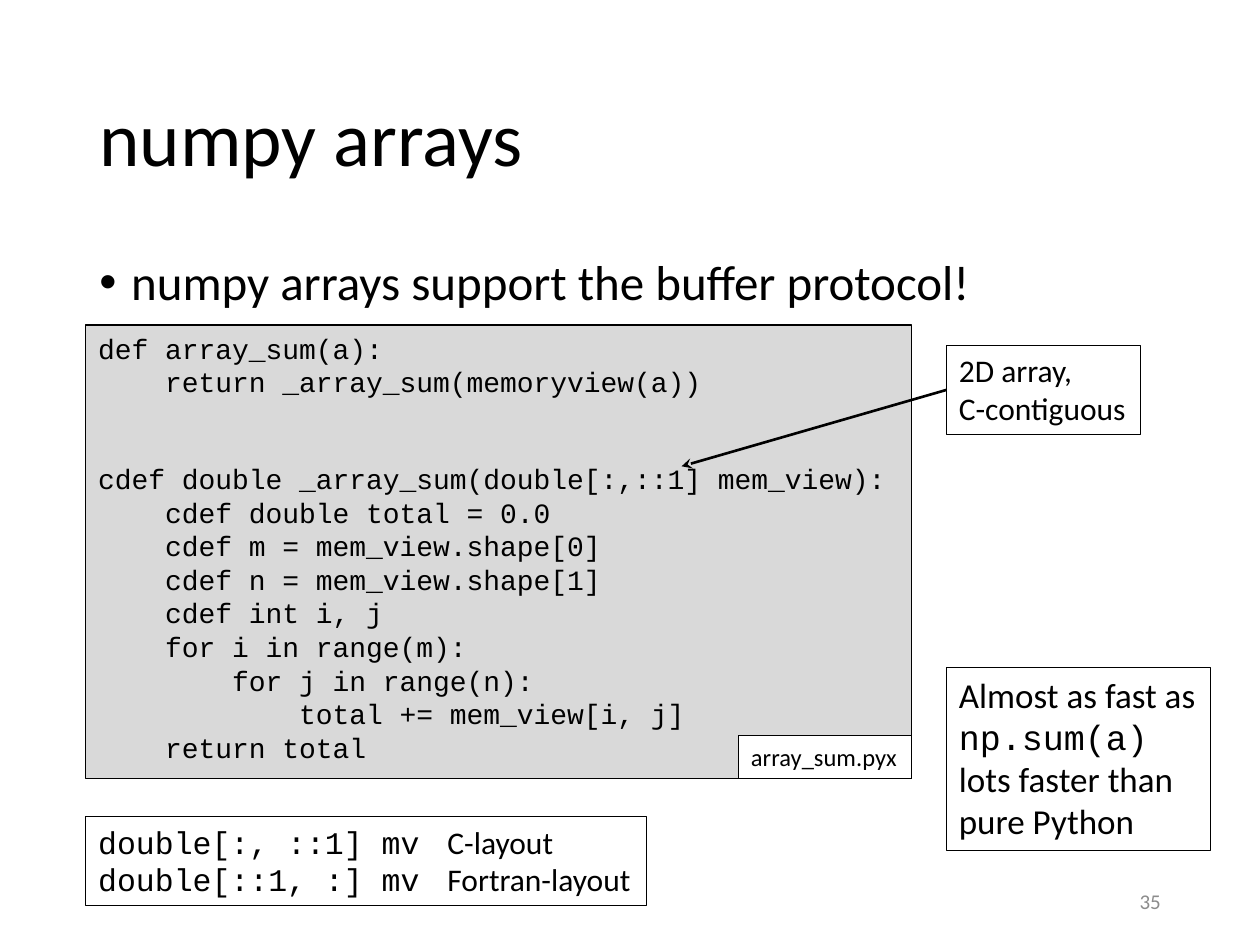
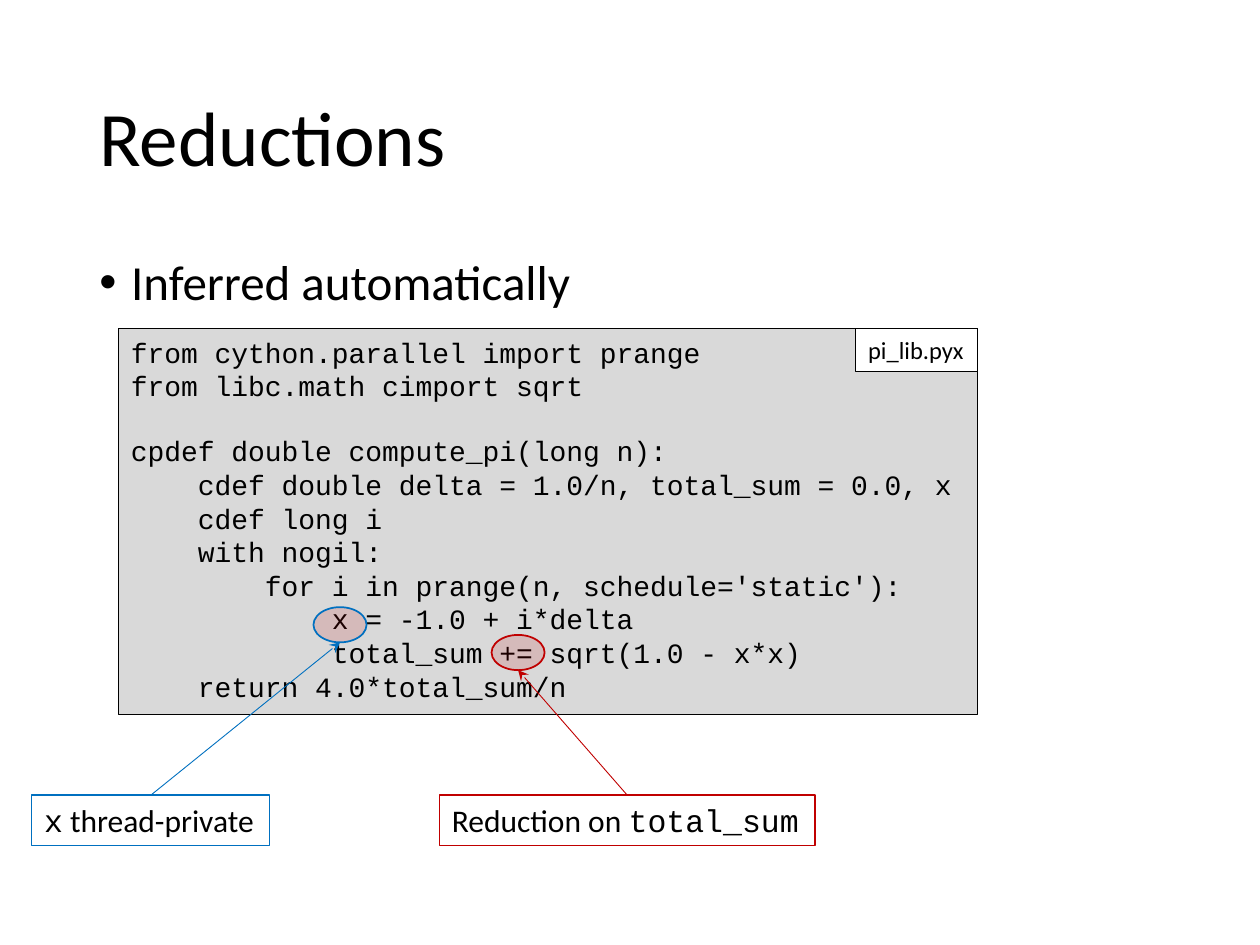
from lxml.etree import SubElement
from pptx import Presentation
from pptx.dml.color import RGBColor
from pptx.enum.shapes import MSO_CONNECTOR, MSO_SHAPE
from pptx.enum.text import MSO_ANCHOR, MSO_AUTO_SIZE, PP_ALIGN
from pptx.oxml.ns import qn
from pptx.util import Cm, Pt

HUES = {
    "ink": "000000",
    "paper": "FFFFFF",
    "code": "D9D9D9",
    "page": "8C8C8C",
    "red": "C00000",
    "blue": "0070C0",
}
SANS, MONO = "Calibri", "Courier New"
TITLE = (1.75, 1.02, 21.9, 3.68)
BODY = (1.75, 5.08, 21.9, 12.09)
PAGE = (17.93, 17.65, 5.72, 1.02)
TAG_H = 0.86
OVAL = (1.07, 0.71)
ROW = 18.13

SUM_CODE = """def array_sum(a):
    return _array_sum(memoryview(a))


cdef double _array_sum(double[:,::1] mem_view):
    cdef double total = 0.0
    cdef m = mem_view.shape[0]
    cdef n = mem_view.shape[1]
    cdef int i, j
    for i in range(m):
        for j in range(n):
            total += mem_view[i, j]
    return total"""

PI_CODE = """from cython.parallel import prange
from libc.math cimport sqrt

cpdef double compute_pi(long n):
    cdef double delta = 1.0/n, total_sum = 0.0, x
    cdef long i
    with nogil:
        for i in prange(n, schedule='static'):
            x = -1.0 + i*delta
            total_sum += sqrt(1.0 - x*x)
    return 4.0*total_sum/n"""

ARRAYS = {
    "title": "numpy arrays",
    "point": "numpy arrays support the buffer protocol!",
    "code": (SUM_CODE, (1.73, 6.55, 16.64, 9.14)),
    "file": ("array_sum.pyx", 3.48, "bottom"),
}
SPEED = ("Almost as fast as\n`np.sum(a)`\nlots faster than\npure Python", (19.08, 13.46, 5.33, 3.68))
SHAPE = ("2D array,\nC-contiguous", (19.08, 6.96, 3.91, 1.8))
LAYOUT = ("`double[:, ::1] mv`\tC-layout\n`double[::1, :] mv`\tFortran-layout", (1.73, 16.46, 11.3, 1.8))
LAYOUT_TAB = 7.04
TYPE_SPOT = (13.74, 9.4)

REDUCE = {
    "title": "Reductions",
    "point": "Inferred automatically",
    "code": (PI_CODE, (2.39, 6.63, 17.32, 7.77)),
    "file": ("pi_lib.pyx", 2.46, "top"),
}
MARKS = [
    ("Reduction on `total_sum`", "red", (8.86, 16.03, 7.57, 1.02), (9.91, 12.8)),
    ("`x` thread-private", "blue", (0.64, 16.03, 4.8, 1.02), (6.32, 12.24)),
]


def rgb(name):
    return RGBColor.from_string(HUES[name])


def cms(vals):
    return [Cm(v) for v in vals]


def style(run, size, font=SANS, hue="ink"):
    run.font.size = Pt(size)
    run.font.name = font
    run.font.color.rgb = rgb(hue)


def place(item, at):
    item.left, item.top, item.width, item.height = cms(at)


def draw(slide, kind, at, fill, line, width):
    form = slide.shapes.add_shape(kind, *cms(at))
    form.shadow.inherit = False
    if fill:
        form.fill.solid()
        form.fill.fore_color.rgb = rgb(fill)
    else:
        form.fill.background()
    form.line.color.rgb = rgb(line)
    form.line.width = Pt(width)
    return form


def box(slide, text, at, size=18, fill="paper", line="ink", code=False, tab=None):
    frame = draw(slide, MSO_SHAPE.RECTANGLE, at, fill, line, 0.75).text_frame
    frame.word_wrap = tab is not None
    frame.auto_size = MSO_AUTO_SIZE.SHAPE_TO_FIT_TEXT
    frame.vertical_anchor = MSO_ANCHOR.TOP
    para, gap = None, 0
    for row in text.split("\n"):
        if not row:
            gap += ROW
            continue
        para = frame.add_paragraph() if para else frame.paragraphs[0]
        para.alignment = PP_ALIGN.LEFT
        if gap:
            para.space_before = Pt(gap)
            gap = 0
        if tab:
            stops = SubElement(para._p.get_or_add_pPr(), qn("a:tabLst"))
            SubElement(stops, qn("a:tab"), pos=str(Cm(tab)), algn="l")
        for num, part in enumerate(row.split("`")):
            if part:
                run = para.add_run()
                run.text = part
                style(run, size, MONO if code or num % 2 else SANS)


def arrow(slide, start, end, hue, width):
    line = slide.shapes.add_connector(MSO_CONNECTOR.STRAIGHT, *cms(start + end))
    line.line.color.rgb = rgb(hue)
    line.line.width = Pt(width)
    SubElement(line.line._get_or_add_ln(), qn("a:tailEnd"), type="stealth")
    SubElement(line._element.spPr, qn("a:effectLst"))


def ring(slide, spot, hue):
    form = draw(slide, MSO_SHAPE.OVAL, spot + OVAL, "red", hue, 1)
    tint = form._element.spPr.find(qn("a:solidFill")).find(qn("a:srgbClr"))
    SubElement(tint, qn("a:alpha"), val="14000")


def start(deck, data):
    slide = deck.slides.add_slide(deck.slide_layouts[1])
    title, body = slide.placeholders
    for item, text, at, size in ((title, data["title"], TITLE, 44), (body, data["point"], BODY, 28)):
        place(item, at)
        item.text_frame.text = text
        para = item.text_frame.paragraphs[0]
        para.alignment = PP_ALIGN.LEFT
        para.line_spacing = 0.9
        para.space_before = Pt(0)
        style(para.runs[0], size)
    title.text_frame.vertical_anchor = MSO_ANCHOR.MIDDLE
    body.text_frame.vertical_anchor = MSO_ANCHOR.TOP
    props = body.text_frame.paragraphs[0]._p.get_or_add_pPr()
    props.set("marL", str(Cm(0.64)))
    props.set("indent", str(-Cm(0.64)))
    SubElement(props, qn("a:buFont"), typeface="Arial")
    SubElement(props, qn("a:buChar"), char="•")

    text, at = data["code"]
    box(slide, text, at, 16, "code", code=True)
    name, wide, edge = data["file"]
    left, top, width, height = at
    drop = height - TAG_H if edge == "bottom" else 0
    box(slide, name, (left + width - wide, top + drop, wide, TAG_H), 14)
    return slide


def number(slide, text):
    frame = slide.shapes.add_textbox(*cms(PAGE)).text_frame
    frame.word_wrap = True
    frame.vertical_anchor = MSO_ANCHOR.MIDDLE
    frame.text = text
    para = frame.paragraphs[0]
    para.alignment = PP_ALIGN.RIGHT
    style(para.runs[0], 12, hue="page")


def main():
    deck = Presentation()
    deck.slide_width, deck.slide_height = Cm(25.4), Cm(19.05)

    slide = start(deck, ARRAYS)
    number(slide, "35")
    box(slide, *SPEED, size=20)
    box(slide, *SHAPE)
    left, top, _, high = SHAPE[1]
    arrow(slide, (left, top + high / 2), TYPE_SPOT, "ink", 1.5)
    box(slide, *LAYOUT, fill=None, tab=LAYOUT_TAB)

    slide = start(deck, REDUCE)
    for text, hue, at, spot in MARKS:
        ring(slide, spot, hue)
        foot = (spot[0] + OVAL[0] / 2, spot[1] + OVAL[1])
        arrow(slide, (at[0] + at[2] / 2, at[1]), foot, hue, 0.5)
        box(slide, text, at, fill=None, line=hue)

    deck.save("out.pptx")


if __name__ == "__main__":
    main()
